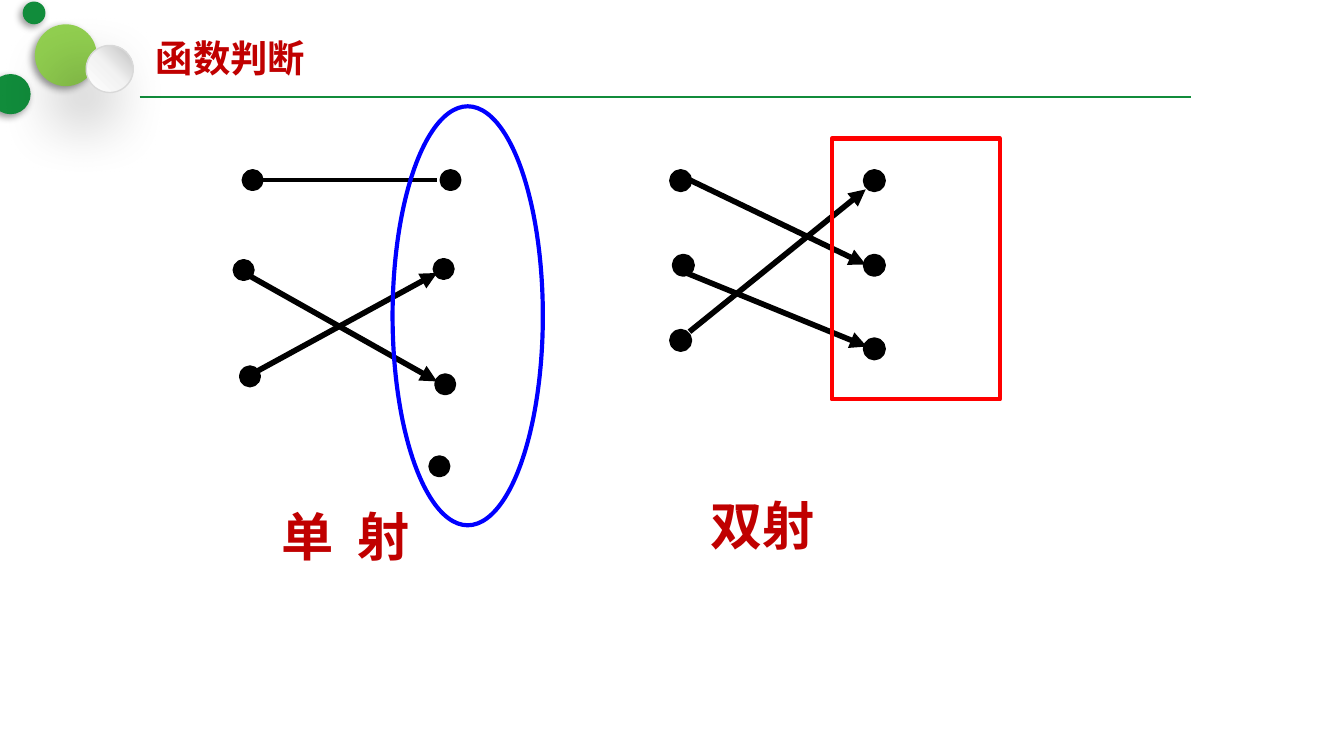
from lxml import etree
from pptx import Presentation
from pptx.dml.color import RGBColor
from pptx.enum.shapes import MSO_CONNECTOR, MSO_SHAPE
from pptx.enum.text import MSO_ANCHOR, PP_ALIGN
from pptx.oxml.ns import qn
from pptx.util import Cm, Pt

STRAIGHT = MSO_CONNECTOR.STRAIGHT
OVAL, RECTANGLE = MSO_SHAPE.OVAL, MSO_SHAPE.RECTANGLE
MIDDLE, LEFT = MSO_ANCHOR.MIDDLE, PP_ALIGN.LEFT

FONT = "Noto Sans CJK SC"
COLORS = {
    "green": "118C3B", "lime": "92D050", "title": "C00000", "black": "000000",
    "blue": "0000FF", "red": "FF0000", "white": "FFFFFF", "pale": "F2F2F2",
    "gray": "BFBFBF", "rim": "D9D9D9",
}

TITLE = ("函数判断", (2.69, 0.53, 6.07, 1.12))
TITLE_RULE = (2.64, 1.83, 22.5, 1.83)
BUBBLES = [
    (0.66, 0.46, 1.17, "lime"),
    (-0.18, 1.4, 0.76, "green"),
    (1.63, 0.86, 0.89, None),
    (0.43, 0.03, 0.43, "green"),
]
PEARL_STOPS = [(0, "white"), (50, "pale"), (100, "gray")]

MAPPINGS = [
    {
        "label": ("双射", (13.18, 9.19, 6.99, 1.45), 0),
        "dot_size": 0.33,
        "dots": [(12.7, 3.25), (12.75, 4.85), (12.7, 6.27),
                 (16.36, 3.25), (16.36, 4.85), (16.36, 6.43)],
        "arrows": [(13.03, 6.27, 16.36, 3.58), (12.9, 5.13, 16.38, 6.55),
                   (13.03, 3.4, 16.36, 5.0)],
        "lines": [],
        "outline": (RECTANGLE, (15.72, 2.62, 3.18, 4.93), "red"),
    },
    {
        "label": ("单 射", (5.08, 9.4, 3.33, 1.45), 3),
        "dot_size": 0.31,
        "dots": [(4.62, 3.25), (8.36, 3.25), (4.45, 4.95), (8.23, 4.93),
                 (4.57, 6.96), (8.26, 7.11), (8.15, 8.66)],
        "arrows": [(4.62, 5.16, 8.26, 7.21), (4.78, 7.06, 8.26, 5.16)],
        "lines": [(4.93, 3.4, 8.26, 3.4)],
        "outline": (OVAL, (7.42, 2.01, 2.84, 7.92), "blue"),
    },
]


def rgb(name):
    return RGBColor.from_string(COLORS[name])


def add_color(parent, name):
    return etree.SubElement(parent, qn("a:srgbClr"), val=COLORS[name])


def write_text(shape, text, *, size, color="title", spacing=0):
    frame = shape.text_frame
    frame.word_wrap = True
    frame.vertical_anchor = MIDDLE
    paragraph = frame.paragraphs[0]
    paragraph.alignment = LEFT
    run = paragraph.add_run()
    run.text = text
    run.font.name = FONT
    run.font.size = Pt(size)
    run.font.bold = True
    run.font.color.rgb = rgb(color)
    properties = run.font._element
    etree.SubElement(properties, qn("a:ea"), typeface=FONT)
    if spacing:
        properties.set("spc", str(spacing * 100))


def add_outline(slide, kind, box, *, fill=None, line=None, width=3):
    shape = slide.shapes.add_shape(kind, *map(Cm, box))
    shape.shadow.inherit = False
    if fill:
        shape.fill.solid()
        shape.fill.fore_color.rgb = rgb(fill)
    else:
        shape.fill.background()
    if line:
        shape.line.color.rgb = rgb(line)
        shape.line.width = Pt(width)
    else:
        shape.line.fill.background()
    return shape


def add_line(slide, ends, *, color="black", width=3, arrow=False):
    connector = slide.shapes.add_connector(STRAIGHT, *map(Cm, ends))
    connector.line.color.rgb = rgb(color)
    connector.line.width = Pt(width)
    if arrow:
        etree.SubElement(connector.line._get_or_add_ln(), qn("a:tailEnd"), type="triangle")
    etree.SubElement(connector._element.spPr, qn("a:effectLst"))


def add_shadow(shape, blur, distance):
    effects = shape._element.spPr.find(qn("a:effectLst"))
    shadow = etree.SubElement(
        effects, qn("a:outerShdw"), blurRad=str(Pt(blur)), dist=str(Pt(distance)),
        dir=str(135 * 60000), algn="ctr", rotWithShape="0")
    etree.SubElement(add_color(shadow, "black"), qn("a:alpha"), val="40000")


def fill_pearl(shape):
    shape.fill.gradient()
    gradient = shape._element.spPr.find(qn("a:gradFill"))
    stops = gradient.find(qn("a:gsLst"))
    for stop in list(stops):
        stops.remove(stop)
    for position, color in PEARL_STOPS:
        add_color(etree.SubElement(stops, qn("a:gs"), pos=str(position * 1000)), color)
    gradient.find(qn("a:lin")).set("ang", str(315 * 60000))


def add_bubble(slide, left, top, size, color):
    box = (left, top, size, size)
    if color:
        add_shadow(add_outline(slide, OVAL, box, fill=color), 4, 2)
    else:
        pearl = add_outline(slide, OVAL, box, line="rim", width=0.75)
        fill_pearl(pearl)
        add_shadow(pearl, 35, 20)


def add_mapping(slide, mapping):
    size = mapping["dot_size"]
    for left, top in mapping["dots"]:
        add_outline(slide, OVAL, (left, top, size, size), fill="black", line="black")
    for ends in mapping["arrows"]:
        add_line(slide, ends, arrow=True)
    for ends in mapping["lines"]:
        add_line(slide, ends, width=2.25)
    text, box, spacing = mapping["label"]
    write_text(slide.shapes.add_textbox(*map(Cm, box)), text, size=28, spacing=spacing)
    kind, box, color = mapping["outline"]
    add_outline(slide, kind, box, line=color, width=2.25)


def main():
    presentation = Presentation()
    presentation.slide_width, presentation.slide_height = Cm(25.4), Cm(14.29)
    slide = presentation.slides.add_slide(presentation.slide_layouts[5])
    text, box = TITLE
    title = slide.shapes.title
    title.left, title.top, title.width, title.height = map(Cm, box)
    write_text(title, text, size=20)
    add_line(slide, TITLE_RULE, color="green", width=1.25)
    for bubble in BUBBLES:
        add_bubble(slide, *bubble)
    for mapping in MAPPINGS:
        add_mapping(slide, mapping)
    presentation.save("out.pptx")


if __name__ == "__main__":
    main()
